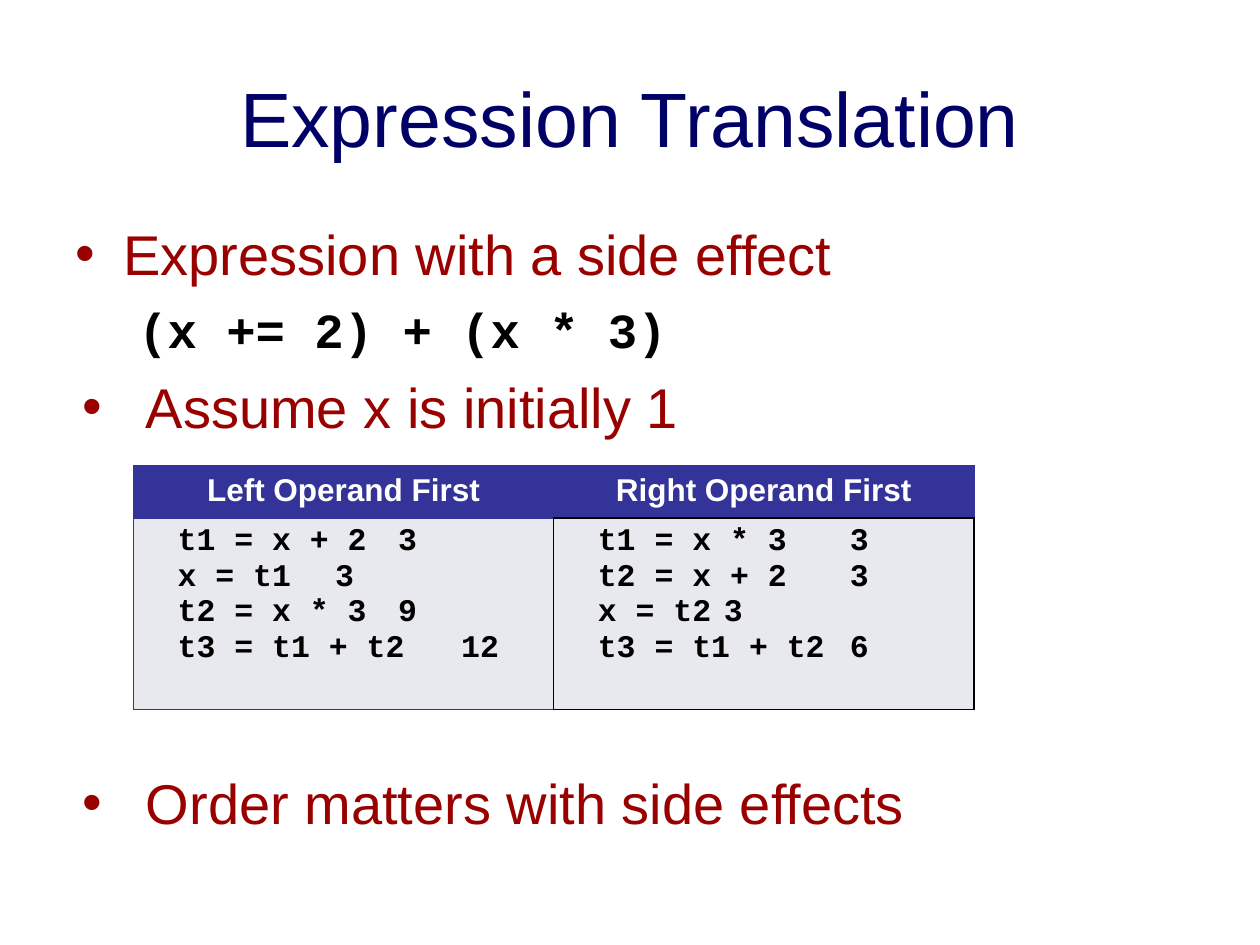
from dataclasses import dataclass

from lxml.etree import SubElement
from pptx import Presentation
from pptx.dml.color import RGBColor
from pptx.enum.text import MSO_ANCHOR, PP_ALIGN
from pptx.oxml.ns import qn
from pptx.util import Inches, Pt

NAVY, RED, BLACK, WHITE = "000066", "990000", "000000", "FFFFFF"
INDIGO, PALE = "333399", "E8E8EF"
SANS, MONO = "Arial", "Courier New"


@dataclass
class Style:
    font: str
    size: float
    color: str
    bold: bool = False


@dataclass
class BodyLine:
    text: str
    style: Style
    left: float
    indent: float
    before: float
    bullet: bool = True


@dataclass
class Column:
    heading: str
    steps: list[str]
    left: float
    indent: float
    edges: dict[str, str]


def rgb(color: str) -> RGBColor:
    return RGBColor.from_string(color)


def write(paragraph, text: str, style: Style, align=PP_ALIGN.LEFT) -> None:
    paragraph.text = text
    paragraph.alignment = align
    for run in paragraph.runs:
        run.font.name, run.font.size = style.font, Pt(style.size)
        run.font.bold = style.bold
        run.font.color.rgb = rgb(style.color)


def set_indent(paragraph, left: float, indent: float):
    properties = paragraph._p.get_or_add_pPr()
    properties.set("marL", str(Inches(left)))
    properties.set("indent", str(Inches(indent)))
    return properties


def add_bullet(properties, color: str) -> None:
    bullet_color = SubElement(properties, qn("a:buClr"))
    SubElement(bullet_color, qn("a:srgbClr"), val=color)
    SubElement(properties, qn("a:buFont"), typeface=SANS)
    SubElement(properties, qn("a:buChar"), char="•")


def add_tab(properties, position: float) -> None:
    tabs = SubElement(properties, qn("a:tabLst"))
    SubElement(tabs, qn("a:tab"), pos=str(Inches(position)), algn="l")


def format_cell(cell, fill: str, edges: dict[str, str]) -> None:
    properties = cell._tc.get_or_add_tcPr()
    for side in "LRTB":
        line = SubElement(properties, qn(f"a:ln{side}"), w=str(Pt(1)))
        solid = SubElement(line, qn("a:solidFill"))
        SubElement(solid, qn("a:srgbClr"), val=edges[side])
    cell.fill.solid()
    cell.fill.fore_color.rgb = rgb(fill)


def add_paragraphs(text_frame, count: int) -> list:
    for _ in range(count - 1):
        text_frame.add_paragraph()
    return list(text_frame.paragraphs)


def add_text_frame(slide, left: float, top: float, width: float, height: float):
    box = slide.shapes.add_textbox(*map(Inches, (left, top, width, height)))
    box.text_frame.word_wrap = True
    return box.text_frame


presentation = Presentation()
presentation.slide_width, presentation.slide_height = Inches(10), Inches(7.5)
slide = presentation.slides.add_slide(presentation.slide_layouts[6])

# Title
title = add_text_frame(slide, 0.5, 0.3, 9, 1.25)
title.vertical_anchor = MSO_ANCHOR.MIDDLE
write(title.paragraphs[0], "Expression Translation", Style(SANS, 44, NAVY), PP_ALIGN.CENTER)

# Bulleted body; the last line leaves room for the table
point, code = Style(SANS, 32, RED), Style(MONO, 28, BLACK, True)
body_lines = [
    BodyLine("Expression with a side effect", point, 0.38, -0.38, 0),
    BodyLine("(x += 2) + (x * 3)", code, 0.5, 0, 7.5, bullet=False),
    BodyLine("Assume x is initially 1", point, 0.56, -0.5, 8),
    BodyLine("Order matters with side effects", point, 0.56, -0.5, 188),
]
body = add_text_frame(slide, 0.5, 1.69, 9, 4.95)
for paragraph, line in zip(add_paragraphs(body, len(body_lines)), body_lines):
    write(paragraph, line.text, line.style)
    paragraph.space_before = Pt(line.before)
    properties = set_indent(paragraph, line.left, line.indent)
    if line.bullet:
        add_bullet(properties, line.style.color)

# Table of evaluation orders
columns = [
    Column("Left Operand First",
           ["t1 = x + 2\t3", "x = t1\t3", "t2 = x * 3\t9", "t3 = t1 + t2\t12"],
           0.5, -0.25, dict(L=INDIGO, R=BLACK, T=INDIGO, B=INDIGO)),
    Column("Right Operand First",
           ["t1 = x * 3\t3", "t2 = x + 2\t3", "x = t2\t3", "t3 = t1 + t2\t6"],
           0.25, 0, dict.fromkeys("LRTB", BLACK)),
]
heading_style, step_style = Style(SANS, 18, WHITE, True), Style(MONO, 18, BLACK, True)
row_heights = [0.41, 1.52]
table = slide.shapes.add_table(
    len(row_heights), len(columns),
    *map(Inches, (1.06, 3.7, 6.67, sum(row_heights)))).table
for row, height in zip(table.rows, row_heights):
    row.height = Inches(height)
for index, column in enumerate(columns):
    heading, steps = table.cell(0, index), table.cell(1, index)
    write(heading.text_frame.paragraphs[0], column.heading, heading_style, PP_ALIGN.CENTER)
    heading_edges = dict.fromkeys("LRT", INDIGO) | {"B": column.edges["T"]}
    format_cell(heading, INDIGO, heading_edges)
    format_cell(steps, PALE, column.edges)
    paragraphs = add_paragraphs(steps.text_frame, len(column.steps))
    for paragraph, step in zip(paragraphs, column.steps):
        write(paragraph, step, step_style)
        add_tab(set_indent(paragraph, column.left, column.indent), 2.51)

presentation.save("out.pptx")
